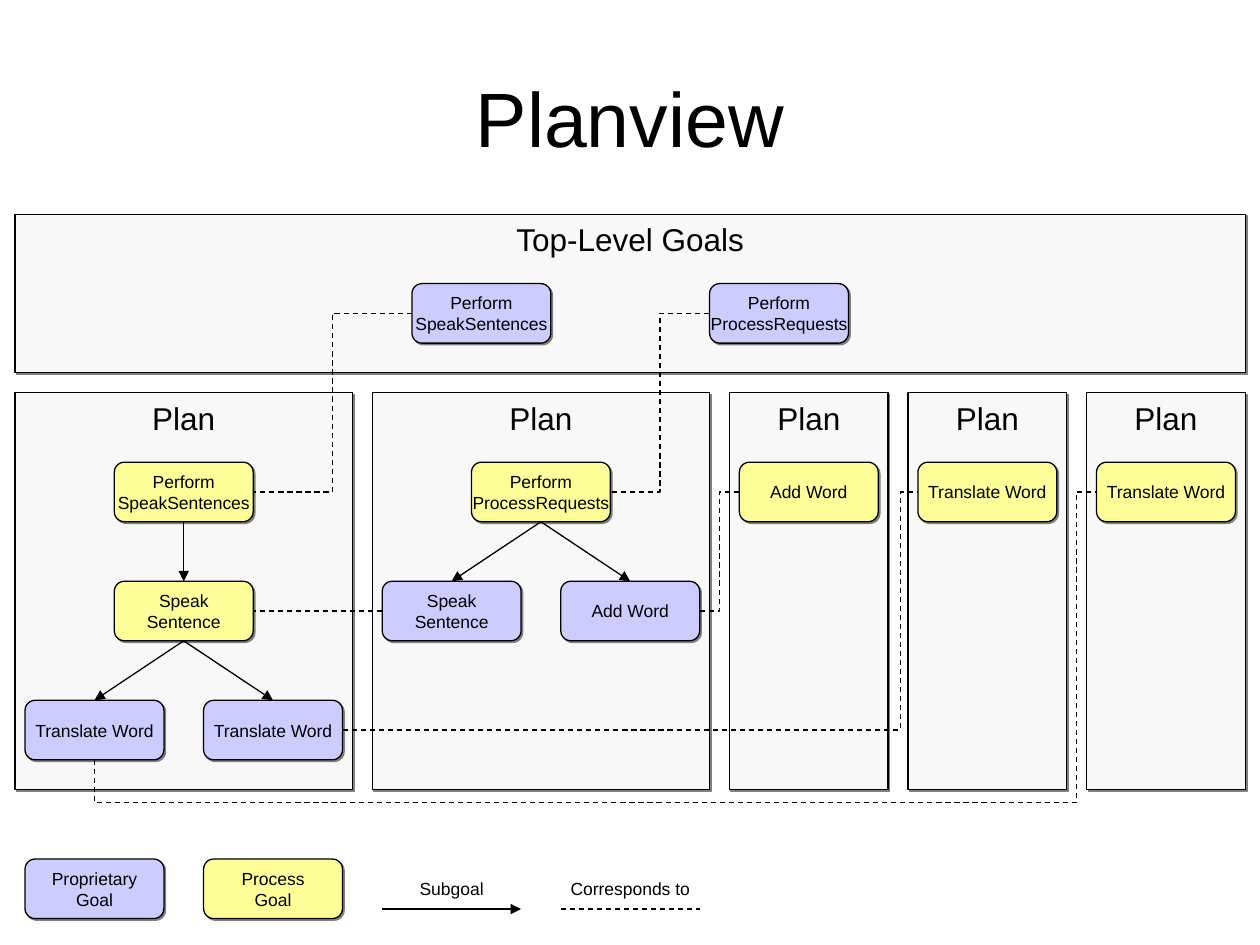
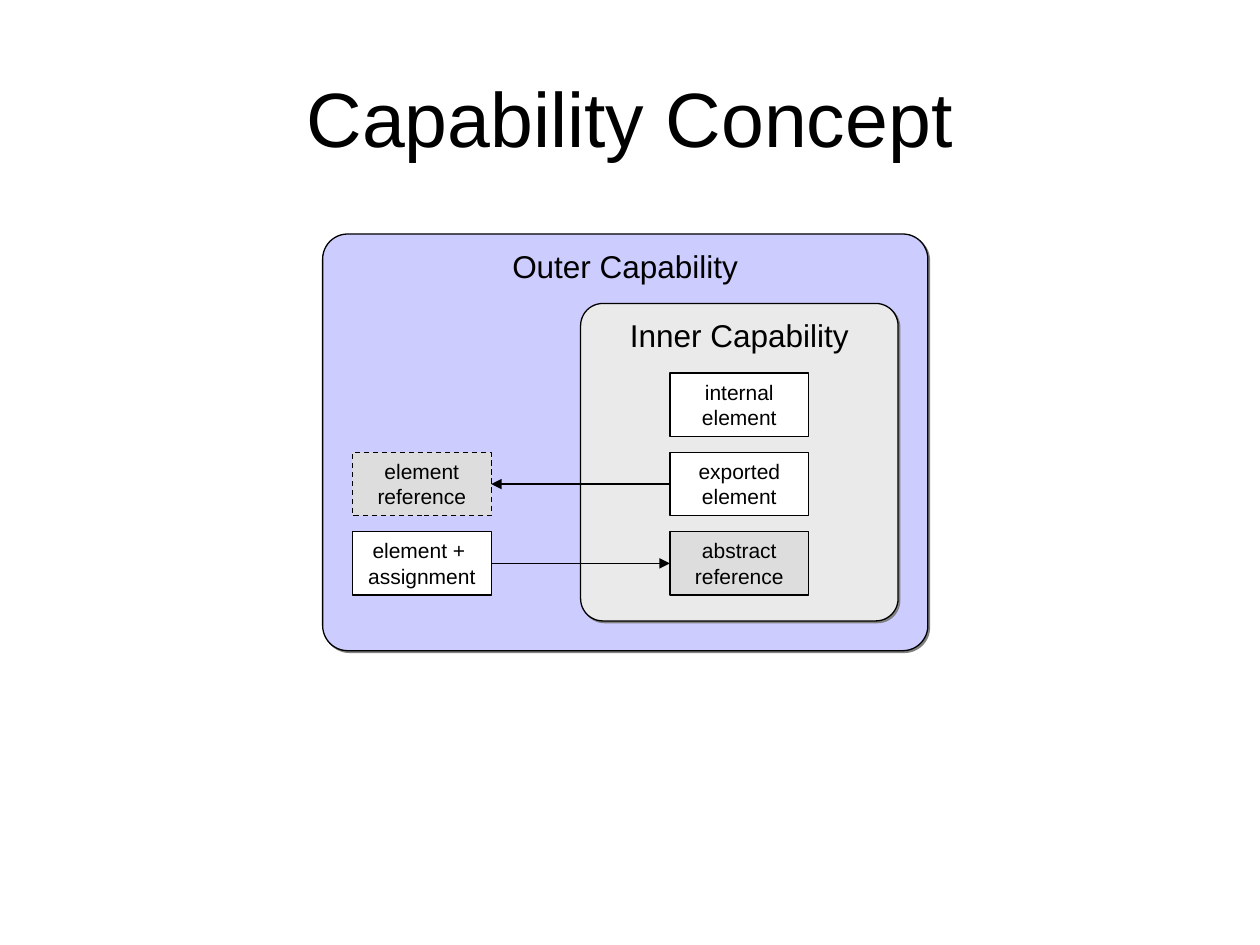
from dataclasses import dataclass

import lxml.etree
import pptx
import pptx.dml.color
import pptx.enum.dml
import pptx.enum.shapes
import pptx.enum.text
import pptx.oxml.ns
import pptx.util


@dataclass(frozen=True)
class Theme:
    font: str = "Arial"
    ink: str = "000000"
    shadow: str = "808080"
    panel: str = "F8F8F8"
    lilac: str = "CCCCFF"
    yellow: str = "FFFF99"
    inner: str = "EAEAEA"
    white: str = "FFFFFF"
    grey: str = "DDDDDD"
    title_size: int = 44
    heading_size: int = 18
    element_size: int = 12
    goal_size: int = 10
    line_width: float = 0.75


theme = Theme()
rgb = pptx.dml.color.RGBColor.from_string
qn = pptx.oxml.ns.qn
RECT = pptx.enum.shapes.MSO_SHAPE.RECTANGLE
ROUND = pptx.enum.shapes.MSO_SHAPE.ROUNDED_RECTANGLE
DASH = pptx.enum.dml.MSO_LINE.DASH
ANCHOR = pptx.enum.text.MSO_ANCHOR

deck = pptx.Presentation()
deck.slide_width = pptx.util.Inches(10)
deck.slide_height = pptx.util.Inches(7.5)

# Grid: square cells, counted from the corner of the content area
CELL = deck.slide_width / 63.5
GRID_LEFT = pptx.util.Inches(0.12)
GRID_TOP = pptx.util.Inches(1.7)
GOAL_W, GOAL_H = 7, 3

# Sides of a box as shares of its width and height, in connection-site order
SIDES = TOP, LEFT, BOTTOM, RIGHT = [(0.5, 0), (0, 0.5), (0.5, 1), (1, 0.5)]


def box(slide, text, x, y, w, h, fill=None, kind=RECT, size=theme.goal_size,
        anchor=ANCHOR.MIDDLE, wrap=False, corner=None, shadow=True, dash=None):
    """Place a box by grid cells; without a fill it is a bare label."""
    shape = slide.shapes.add_shape(
        kind, round(GRID_LEFT + x * CELL), round(GRID_TOP + y * CELL),
        round(w * CELL), round(h * CELL))
    shape.shadow.inherit = False
    if corner is not None:
        shape.adjustments[0] = corner
    if fill:
        shape.fill.solid()
        shape.fill.fore_color.rgb = rgb(fill)
        shape.line.color.rgb = rgb(theme.ink)
        shape.line.width = pptx.util.Pt(theme.line_width)
        shape.line.dash_style = dash
    else:
        shape.fill.background()
        shape.line.fill.background()
    if fill and shadow:
        effects = shape._element.spPr.find(qn("a:effectLst"))
        outer = lxml.etree.SubElement(
            effects, qn("a:outerShdw"), dist="17780", dir="2700000", algn="ctr", rotWithShape="0")
        lxml.etree.SubElement(outer, qn("a:srgbClr"), val=theme.shadow)
    frame = shape.text_frame
    for name, value in {"text": text, "word_wrap": wrap, "vertical_anchor": anchor}.items():
        setattr(frame, name, value)
    for paragraph in frame.paragraphs:
        paragraph.alignment = pptx.enum.text.PP_ALIGN.CENTER
        paragraph.font.color.rgb = rgb(theme.ink)
        for name, value in {"name": theme.font, "size": pptx.util.Pt(size)}.items():
            setattr(paragraph.font, name, value)
    return shape


def link(slide, source, source_side, target, target_side, arrow=False, bends=()):
    """Join two boxes: an arrow or a dashed line, bent at the given shares."""
    (x1, y1), (x2, y2) = [
        (round(shape.left + side[0] * shape.width), round(shape.top + side[1] * shape.height))
        for shape, side in ((source, source_side), (target, target_side))]
    upright = len(bends) == 2
    if upright:  # frame lies on its side and is turned by 90 degrees
        mid_x, mid_y = (x1 + x2) // 2, (y1 + y2) // 2
        half_w, half_h = abs(y2 - y1) // 2, abs(x2 - x1) // 2
        x1, y1, x2, y2 = mid_x + half_w, mid_y + half_h, mid_x - half_w, mid_y - half_h
    kinds = pptx.enum.shapes.MSO_CONNECTOR
    line = slide.shapes.add_connector(kinds.ELBOW if bends else kinds.STRAIGHT, x1, y1, x2, y2)
    if not bends and source_side in SIDES:
        line.begin_connect(source, SIDES.index(source_side))
        line.end_connect(target, SIDES.index(target_side))
    properties = line._element.spPr
    geometry = properties.find(qn("a:prstGeom"))
    for number, share in enumerate(bends, 1):
        lxml.etree.SubElement(geometry.find(qn("a:avLst")), qn("a:gd"),
                              name=f"adj{number}", fmla=f"val {round(share * 100000)}")
    if upright:
        geometry.set("prst", "bentConnector4")
        properties.find(qn("a:xfrm")).set("rot", "5400000")
    line.line.color.rgb = rgb(theme.ink)
    line.line.width = pptx.util.Pt(theme.line_width)
    if arrow:
        lxml.etree.SubElement(properties.find(qn("a:ln")), qn("a:tailEnd"), type="triangle")
    else:
        line.line.dash_style = DASH
    lxml.etree.SubElement(properties, qn("a:effectLst"))


# Slides with their shared title
slides = []
for title in ("Planview", "Capability Concept"):
    slide = deck.slides.add_slide(deck.slide_layouts[6])
    heading = slide.shapes.add_textbox(
        round(deck.slide_width * 0.05), round(deck.slide_height * 0.04),
        round(deck.slide_width * 0.9), round(deck.slide_height / 6))
    frame = heading.text_frame
    for name, value in {"text": title, "word_wrap": True, "vertical_anchor": ANCHOR.MIDDLE}.items():
        setattr(frame, name, value)
    paragraph = frame.paragraphs[0]
    paragraph.alignment = pptx.enum.text.PP_ALIGN.CENTER
    paragraph.font.color.rgb = rgb(theme.ink)
    for name, value in {"name": theme.font, "size": pptx.util.Pt(theme.title_size)}.items():
        setattr(paragraph.font, name, value)
    slides.append(slide)
planview, capability = slides

# Planview: panels
panels = [("Top-Level Goals", 0, 0, 62, 8)]
panels += [("Plan", x, 9, w, 20) for x, w in ((0, 17), (18, 17), (36, 8), (45, 8), (54, 8))]
for text, x, y, w, h in panels:
    box(planview, text, x, y, w, h, theme.panel, size=theme.heading_size, anchor=ANCHOR.TOP)

# Planview: goals on rows six cells apart, and the legend below
TOP_ROW, ROW_1, ROW_2, ROW_3, LEGEND = 3.5, 12.5, 18.5, 24.5, 32.5
goals = {}
for key, text, x, y, fill in (
    ("top speak", "Perform\nSpeakSentences", 20, TOP_ROW, theme.lilac),
    ("top process", "Perform\nProcessRequests", 35, TOP_ROW, theme.lilac),
    ("speak plan", "Perform\nSpeakSentences", 5, ROW_1, theme.yellow),
    ("process plan", "Perform\nProcessRequests", 23, ROW_1, theme.yellow),
    ("add plan", "Add Word", 36.5, ROW_1, theme.yellow),
    ("translate plan 1", "Translate Word", 45.5, ROW_1, theme.yellow),
    ("translate plan 2", "Translate Word", 54.5, ROW_1, theme.yellow),
    ("sentence", "Speak\nSentence", 5, ROW_2, theme.yellow),
    ("sentence subgoal", "Speak\nSentence", 18.5, ROW_2, theme.lilac),
    ("add subgoal", "Add Word", 27.5, ROW_2, theme.lilac),
    ("translate left", "Translate Word", 0.5, ROW_3, theme.lilac),
    ("translate right", "Translate Word", 9.5, ROW_3, theme.lilac),
    ("legend proprietary", "Proprietary\nGoal", 0.5, LEGEND, theme.lilac),
    ("legend process", "Process\nGoal", 9.5, LEGEND, theme.yellow),
    ("legend subgoal", "Subgoal", 18.5, LEGEND, None),
    ("legend corresponds", "Corresponds to", 27.5, LEGEND, None),
):
    goals[key] = box(planview, text, x, y, GOAL_W, GOAL_H, fill, ROUND, corner=0.17)

# Planview: subgoal arrows
for parent, child in (
    ("speak plan", "sentence"),
    ("process plan", "sentence subgoal"),
    ("process plan", "add subgoal"),
    ("sentence", "translate left"),
    ("sentence", "translate right"),
):
    link(planview, goals[parent], BOTTOM, goals[child], TOP, arrow=True)

# Planview: correspondences
for source, source_side, target, target_side, bends in (
    ("top speak", LEFT, "speak plan", RIGHT, [0.5]),
    ("top process", LEFT, "process plan", RIGHT, [0.5]),
    ("sentence subgoal", LEFT, "sentence", RIGHT, []),
    ("add subgoal", RIGHT, "add plan", LEFT, [0.5]),
    ("translate right", RIGHT, "translate plan 1", LEFT, [0.97]),
    ("translate left", BOTTOM, "translate plan 2", LEFT, [-0.16, 0.98]),
):
    link(planview, goals[source], source_side, goals[target], target_side, bends=bends)

# Planview: legend lines under their labels
for key, arrow in (("legend subgoal", True), ("legend corresponds", False)):
    link(planview, goals[key], (0, 0.84), goals[key], (1, 0.84), arrow=arrow)

# Capability Concept: nested capabilities
for text, x, y, w, h, fill, corner in (
    ("Outer Capability", 15.5, 1, 30.5, 21, theme.lilac, 0.06),
    ("Inner Capability", 28.5, 4.5, 16, 16, theme.inner, 0.07),
):
    box(capability, text, x, y, w, h, fill, ROUND, theme.heading_size, ANCHOR.TOP, corner=corner)

# Capability Concept: elements in two columns, rows four cells apart
elements = {}
for text, x, row, fill, dash in (
    ("internal\nelement", 33, 2, theme.white, None),
    ("exported\nelement", 33, 3, theme.white, None),
    ("abstract\nreference", 33, 4, theme.grey, None),
    ("element reference", 17, 3, theme.grey, DASH),
    ("element + \nassignment", 17, 4, theme.white, None),
):
    elements[x, row] = box(capability, text, x, row * 4, GOAL_W, 3.2, fill,
                           size=theme.element_size, anchor=ANCHOR.TOP, wrap=True,
                           shadow=False, dash=dash)
link(capability, elements[33, 3], LEFT, elements[17, 3], RIGHT, arrow=True)
link(capability, elements[17, 4], RIGHT, elements[33, 4], LEFT, arrow=True)

deck.save("out.pptx")
